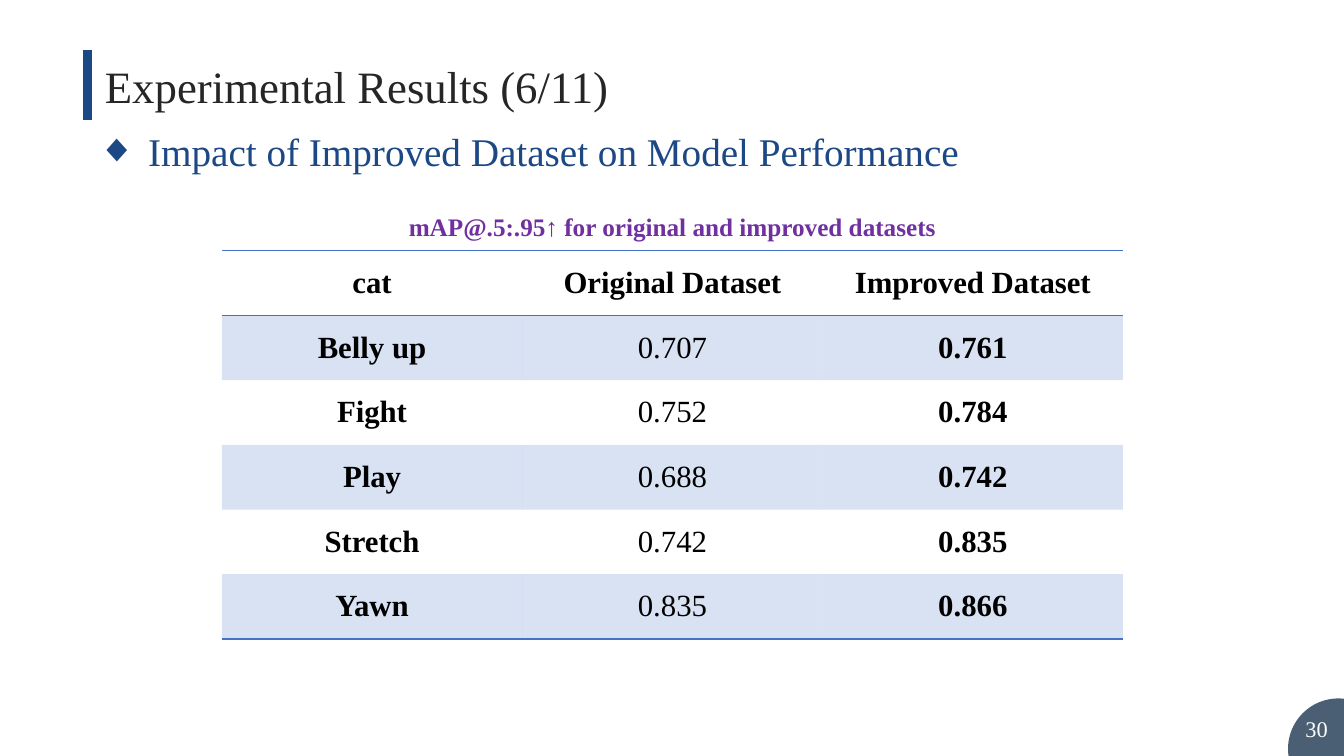
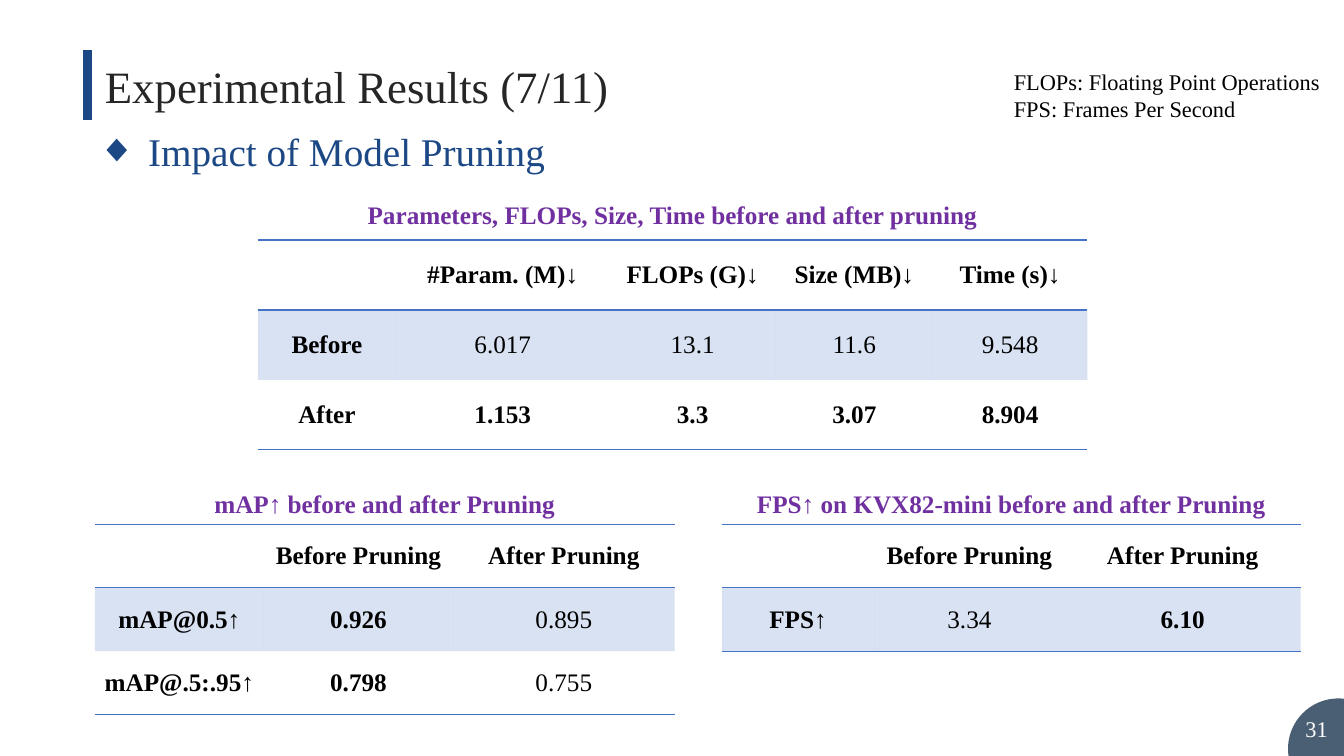
from dataclasses import dataclass
from typing import Optional

from lxml.etree import SubElement
from pptx import Presentation
from pptx.dml.color import RGBColor
from pptx.enum.shapes import MSO_CONNECTOR, MSO_SHAPE
from pptx.enum.text import MSO_ANCHOR, MSO_AUTO_SIZE, PP_ALIGN
from pptx.oxml import parse_xml
from pptx.oxml.ns import nsdecls, qn
from pptx.util import Cm, Pt


@dataclass(frozen=True)
class Theme:
    font: str = "Times New Roman"
    navy: str = "1C4885"
    slate: str = "4A5F74"
    heading: str = "262626"
    purple: str = "7030A0"
    rule: str = "4472C4"
    black: str = "000000"
    white: str = "FFFFFF"
    band_alpha: int = 20
    title_size: int = 32
    topic_size: int = 28
    caption_size: int = 18
    note_size: int = 16


THEME = Theme()
NO_STYLE_NO_GRID = "{2D5ABB26-0587-4C30-8999-92F81FD0307C}"
FIRST_PAGE = 30


@dataclass(frozen=True)
class Results:
    caption: str
    caption_width: float
    caption_top: float
    left: float
    top: float
    columns: tuple[float, ...]
    row_height: float
    rows: tuple[tuple[str, ...], ...]
    best_row: Optional[int] = None
    best_column: Optional[int] = None
    size: int = 18
    inset: float = 0.18


@dataclass(frozen=True)
class Page:
    title: str
    topic: str
    results: tuple[Results, ...]
    glossary: tuple[str, ...] = ()


PAGES = (
    Page(
        "Experimental Results (6/11)",
        "Impact of Improved Dataset on Model Performance",
        (
            Results(
                "mAP@.5:.95↑ for original and improved datasets", 13.92, 5.21,
                5.59, 6.32, (7.57,) * 3, 1.63,
                (
                    ("cat", "Original Dataset", "Improved Dataset"),
                    ("Belly up", "0.707", "0.761"),
                    ("Fight", "0.752", "0.784"),
                    ("Play", "0.688", "0.742"),
                    ("Stretch", "0.742", "0.835"),
                    ("Yawn", "0.835", "0.866"),
                ),
                best_column=2, size=22, inset=0.24,
            ),
        ),
    ),
    Page(
        "Experimental Results (7/11)",
        "Impact of Model Pruning",
        (
            Results(
                "Parameters, FLOPs, Size, Time before and after pruning", 16.2, 4.9,
                6.5, 6.05, (3.48, 5.38, 4.19, 3.96, 3.89), 1.76,
                (
                    ("", "#Param. (M)↓", "FLOPs (G)↓", "Size (MB)↓", "Time (s)↓"),
                    ("Before", "6.017", "13.1", "11.6", "9.548"),
                    ("After", "1.153", "3.3", "3.07", "8.904"),
                ),
                best_row=2,
            ),
            Results(
                "mAP↑ before and after Pruning", 9.35, 12.17,
                2.39, 13.21, (4.26, 4.77, 5.58), 1.6,
                (
                    ("", "Before Pruning", "After Pruning"),
                    ("mAP@0.5↑", "0.926", "0.895"),
                    ("mAP@.5:.95↑", "0.798", "0.755"),
                ),
                best_column=1,
            ),
            Results(
                "FPS↑ on KVX82-mini before and after Pruning", 13.49, 12.17,
                18.19, 13.21, (3.84, 4.8, 5.95), 1.6,
                (
                    ("", "Before Pruning", "After Pruning"),
                    ("FPS↑", "3.34", "6.10"),
                ),
                best_column=2,
            ),
        ),
        ("FLOPs: Floating Point Operations", "FPS: Frames Per Second"),
    ),
)


def style(paragraph, size: int, color: str, bold: bool = False,
          align: PP_ALIGN = PP_ALIGN.LEFT) -> None:
    paragraph.alignment = align
    font = paragraph.font
    font.name, font.size, font.bold = THEME.font, Pt(size), bold
    font.color.rgb = RGBColor.from_string(color)


def place(shape, left: float, top: float, width: float, height: float) -> None:
    shape.left, shape.top = Cm(left), Cm(top)
    shape.width, shape.height = Cm(width), Cm(height)


def add_frame(slide) -> None:
    bar = slide.shapes.add_connector(
        MSO_CONNECTOR.STRAIGHT, Cm(2.21), Cm(1.27), Cm(2.21), Cm(3.02))
    bar.line.color.rgb = RGBColor.from_string(THEME.navy)
    bar.line.width = Pt(6)
    SubElement(bar._element.spPr, qn("a:effectLst"))

    corner = slide.shapes.add_shape(
        MSO_SHAPE.OVAL, Cm(32.46), Cm(17.6), Cm(2.54), Cm(2.54))
    corner.shadow.inherit = False
    corner.fill.solid()
    corner.fill.fore_color.rgb = RGBColor.from_string(THEME.slate)
    corner.line.fill.background()


def add_page_number(slide, number: int) -> None:
    frame = slide.shapes.add_textbox(Cm(26.09), Cm(17.86), Cm(7.62), Cm(1.02)).text_frame
    frame.word_wrap = True
    frame.vertical_anchor = MSO_ANCHOR.MIDDLE
    paragraph = frame.paragraphs[0]
    paragraph.alignment = PP_ALIGN.RIGHT
    paragraph._p.append(parse_xml(
        f'<a:fld {nsdecls("a")} id="{{B6F15528-21DE-4FAA-801E-634DDDAF4B2B}}" type="slidenum">'
        f'<a:rPr lang="en-US" sz="{THEME.note_size * 100}">'
        f'<a:solidFill><a:srgbClr val="{THEME.white}"/></a:solidFill>'
        f'<a:latin typeface="{THEME.font}"/></a:rPr><a:t>{number}</a:t></a:fld>'))


def fill_headings(slide, page: Page) -> None:
    title, topic = slide.shapes.title, slide.placeholders[1]
    place(title, 2.39, 1.35, 23.7, 1.63)
    place(topic, 2.21, 3.07, 30.56, 2.64)
    for heading, text in ((title, page.title), (topic, page.topic)):
        frame = heading.text_frame
        frame.text = text
        frame.auto_size = MSO_AUTO_SIZE.NONE
        frame.vertical_anchor = MSO_ANCHOR.TOP
        frame.paragraphs[0].space_before = Pt(0)
    style(title.text_frame.paragraphs[0], THEME.title_size, THEME.heading)

    topic_line = topic.text_frame.paragraphs[0]
    properties = topic_line._p.get_or_add_pPr()
    properties.set("marL", str(Cm(1.27)))
    properties.set("indent", str(-Cm(1.27)))
    SubElement(properties, qn("a:buChar"), char="◆")
    style(topic_line, THEME.topic_size, THEME.navy)


def add_rules(cell, edges: tuple[str, ...]) -> None:
    properties = cell._tc.get_or_add_tcPr()
    for position, edge in enumerate(edges):
        properties.insert(position, parse_xml(
            f'<a:{edge} {nsdecls("a")} w="{Pt(1)}"><a:solidFill>'
            f'<a:srgbClr val="{THEME.rule}"/></a:solidFill></a:{edge}>'))


def shade(cell) -> None:
    cell.fill.solid()
    cell.fill.fore_color.rgb = RGBColor.from_string(THEME.rule)
    color = cell._tc.tcPr.find(f'{qn("a:solidFill")}/{qn("a:srgbClr")}')
    SubElement(color, qn("a:alpha"), val=str(THEME.band_alpha * 1000))


def add_caption(slide, results: Results) -> None:
    left = results.left + (sum(results.columns) - results.caption_width) / 2
    frame = slide.shapes.add_textbox(
        Cm(left), Cm(results.caption_top), Cm(results.caption_width), Cm(1.02)).text_frame
    frame.word_wrap = False
    frame.text = results.caption
    style(frame.paragraphs[0], THEME.caption_size, THEME.purple, True, PP_ALIGN.CENTER)


def add_results(slide, results: Results) -> None:
    last = len(results.rows) - 1
    table = slide.shapes.add_table(
        len(results.rows), len(results.columns), Cm(results.left), Cm(results.top),
        Cm(sum(results.columns)), Cm(results.row_height * len(results.rows))).table
    table.first_row = table.horz_banding = False
    table._tbl.tblPr.find(qn("a:tableStyleId")).text = NO_STYLE_NO_GRID
    for column, width in zip(table.columns, results.columns):
        column.width = Cm(width)
    for row_index, values in enumerate(results.rows):
        table.rows[row_index].height = Cm(results.row_height)
        for column_index, value in enumerate(values):
            cell = table.cell(row_index, column_index)
            cell.text = value
            cell.vertical_anchor = MSO_ANCHOR.MIDDLE
            cell.margin_left = cell.margin_right = Cm(results.inset)
            cell.margin_top = cell.margin_bottom = 0
            bold = (0 in (row_index, column_index)
                    or row_index == results.best_row
                    or column_index == results.best_column)
            style(cell.text_frame.paragraphs[0], results.size, THEME.black,
                  bold, PP_ALIGN.CENTER)
            if row_index % 2:
                shade(cell)
            else:
                cell.fill.background()
            if row_index == 0:
                add_rules(cell, ("lnT", "lnB"))
            elif row_index == last:
                add_rules(cell, ("lnB",))


def add_glossary(slide, entries: tuple[str, ...]) -> None:
    frame = slide.shapes.add_textbox(Cm(25.3), Cm(1.6), Cm(8.41), Cm(1.63)).text_frame
    frame.word_wrap = True
    frame.text = "\n".join(entries)
    for paragraph in frame.paragraphs:
        style(paragraph, THEME.note_size, THEME.black)


def main() -> None:
    deck = Presentation()
    deck.slide_width, deck.slide_height = Cm(33.87), Cm(19.05)
    deck.element.set("firstSlideNum", str(FIRST_PAGE))
    for number, page in enumerate(PAGES, FIRST_PAGE):
        slide = deck.slides.add_slide(deck.slide_layouts[1])
        add_frame(slide)
        add_page_number(slide, number)
        fill_headings(slide, page)
        for results in page.results:
            add_results(slide, results)
            add_caption(slide, results)
        if page.glossary:
            add_glossary(slide, page.glossary)
    deck.save("out.pptx")


if __name__ == "__main__":
    main()
